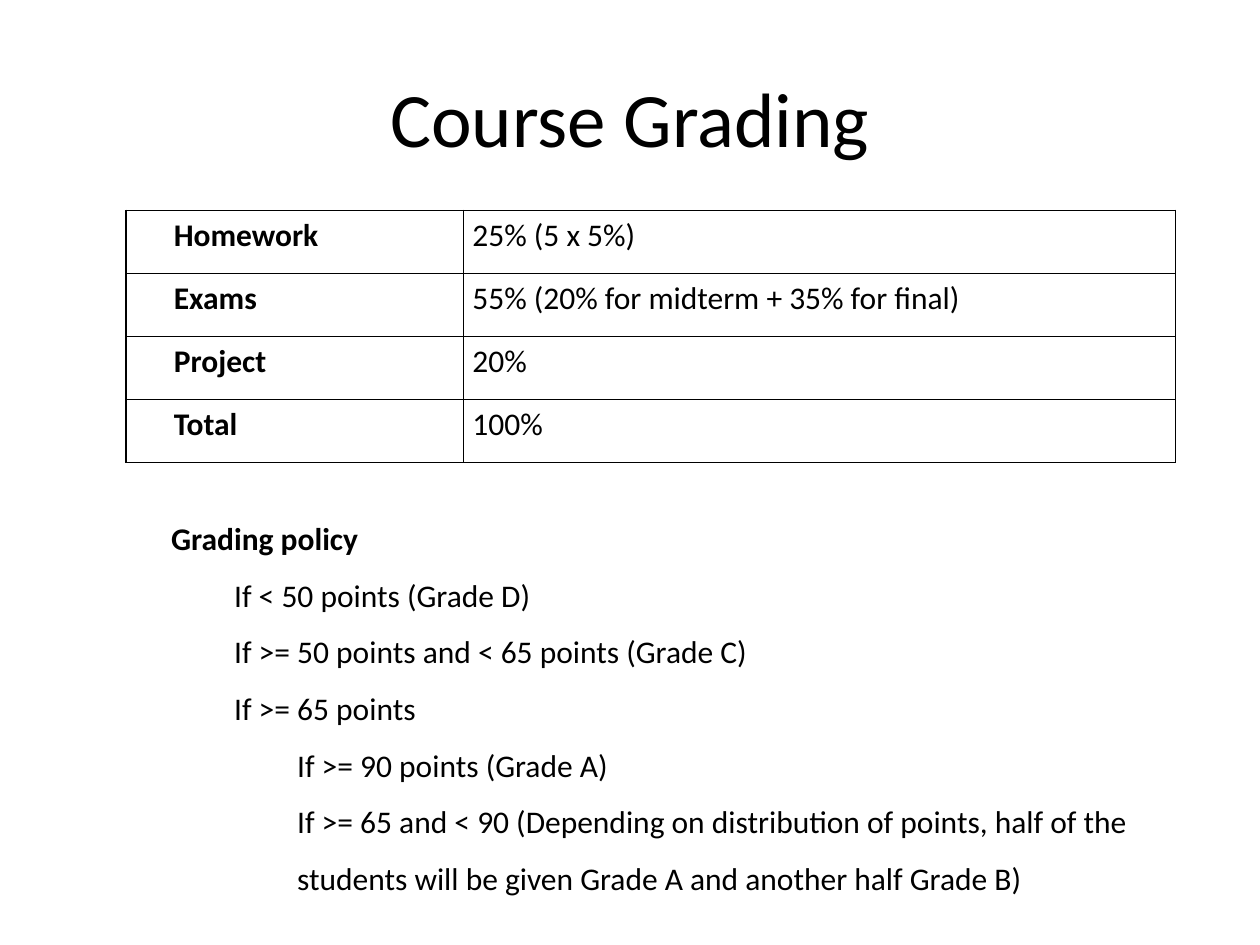
from lxml import etree
from pptx import Presentation
from pptx import util as u
from pptx.dml.color import RGBColor
from pptx.enum import text
from pptx.oxml import ns

BLACK = RGBColor(0, 0, 0)
WHITE = RGBColor(255, 255, 255)

GRADE_WEIGHTS = [
    ("Homework", "25% (5 x 5%)"),
    ("Exams", "55% (20% for midterm + 35% for final)"),
    ("Project", "20%"),
    ("Total", "100%"),
]
GRADING_POLICY = [
    (0, "Grading policy"),
    (1, "If < 50 points (Grade D)"),
    (1, "If >= 50 points and < 65 points (Grade C)"),
    (1, "If >= 65 points"),
    (2, "If >= 90 points (Grade A)"),
    (2, "If >= 65 and < 90 (Depending on distribution of points, half of the "
        "students will be given Grade A and another half Grade B)"),
]


class SlideBuilder:
    font_name = "Calibri"
    body_size = 18
    title_size = 44
    level_indent = 0.5

    def __init__(self, presentation):
        self.slide = presentation.slides.add_slide(presentation.slide_layouts[5])
        self.slide.background.fill.solid()
        self.slide.background.fill.fore_color.rgb = WHITE

    def set_text(self, paragraph, content, size=body_size, bold=False, spacing=1.0,
                 align=text.PP_ALIGN.LEFT, indent=0):
        paragraph.text = content
        paragraph.alignment = align
        paragraph.line_spacing = spacing
        font = paragraph.font
        font.name, font.size, font.bold = self.font_name, u.Pt(size), bold
        font.color.rgb = BLACK
        if indent:
            properties = paragraph._p.get_or_add_pPr()
            properties.set("marL", str(u.Inches(indent)))
            properties.set("indent", "0")

    def title(self, content, left, top, width, height):
        shape = self.slide.shapes.title
        shape.left, shape.top = u.Inches(left), u.Inches(top)
        shape.width, shape.height = u.Inches(width), u.Inches(height)
        shape.text_frame.vertical_anchor = text.MSO_ANCHOR.MIDDLE
        self.set_text(shape.text_frame.paragraphs[0], content, self.title_size,
                      align=text.PP_ALIGN.CENTER)

    def border(self, cell):
        properties = cell._tc.get_or_add_tcPr()
        for side in ("a:lnL", "a:lnR", "a:lnT", "a:lnB"):
            line = etree.SubElement(properties, ns.qn(side), w=str(u.Pt(1)))
            fill = etree.SubElement(line, ns.qn("a:solidFill"))
            etree.SubElement(fill, ns.qn("a:srgbClr"), val=str(BLACK))

    def table(self, rows, left, top, column_widths, row_height):
        table = self.slide.shapes.add_table(
            len(rows), len(column_widths), u.Inches(left), u.Inches(top),
            u.Inches(sum(column_widths)), u.Inches(row_height * len(rows))).table
        table.first_row = table.horz_banding = False
        for column, width in zip(table.columns, column_widths):
            column.width = u.Inches(width)
        for row_index, row in enumerate(rows):
            for column_index, content in enumerate(row):
                cell = table.cell(row_index, column_index)
                cell.margin_left = cell.margin_right = u.Inches(0.07)
                cell.margin_top = cell.margin_bottom = 0
                self.border(cell)
                cell.fill.background()
                is_label = column_index == 0
                self.set_text(cell.text_frame.paragraphs[0], content,
                              bold=is_label, spacing=1.15,
                              align=text.PP_ALIGN.LEFT if is_label else text.PP_ALIGN.JUSTIFY,
                              indent=0.31 if is_label else 0)

    def outline(self, items, left, top, width, height):
        frame = self.slide.shapes.add_textbox(
            u.Inches(left), u.Inches(top), u.Inches(width), u.Inches(height)).text_frame
        frame.word_wrap = True
        frame.auto_size = text.MSO_AUTO_SIZE.SHAPE_TO_FIT_TEXT
        for index, (level, content) in enumerate(items):
            paragraph = frame.add_paragraph() if index else frame.paragraphs[0]
            paragraph.level = level
            self.set_text(paragraph, content, bold=level == 0, spacing=1.5,
                          indent=level * self.level_indent)


presentation = Presentation()
presentation.slide_width = u.Inches(10)
presentation.slide_height = u.Inches(7.5)

builder = SlideBuilder(presentation)
builder.title("Course Grading", 0.5, 0.3, 9, 1.25)
builder.table(GRADE_WEIGHTS, 1, 1.67, (2.68, 5.65), 0.5)
builder.outline(GRADING_POLICY, 1.26, 3.92, 8.08, 3.23)

presentation.save("out.pptx")
